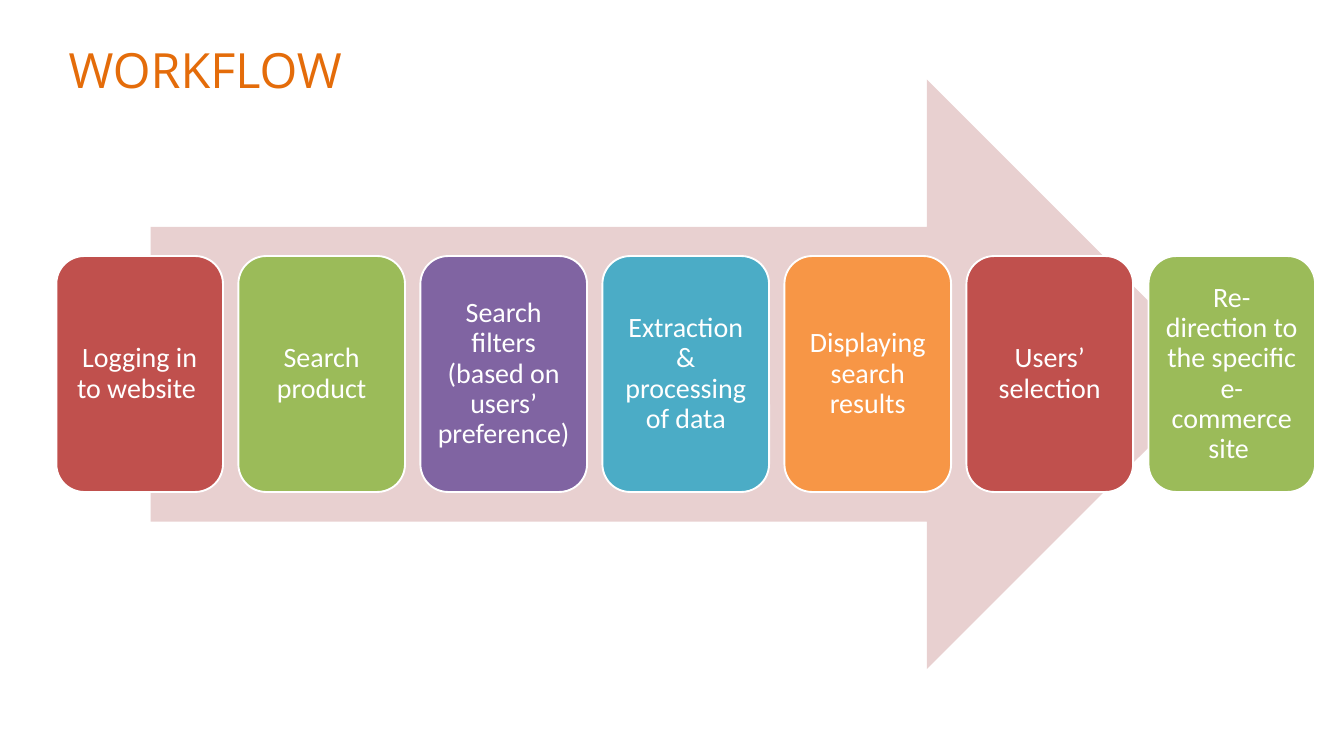
from pptx import Presentation
from pptx import util as u
from pptx.dml.color import RGBColor
from pptx.enum import shapes, text

STEPS = [
    ("Logging in to website ", "C0504D"),
    ("Search product", "9BBB59"),
    ("Search filters (based on users’ preference)", "8064A2"),
    ("Extraction & processing of data", "4BACC6"),
    ("Displaying search results", "F79646"),
    ("Users’ selection", "C0504D"),
    ("Re-direction to the specific e-commerce site ", "9BBB59"),
]
STEP_LEFT, STEP_TOP = 2.13, 9.68
STEP_WIDTH, STEP_HEIGHT = 6.3, 8.92
STEP_PITCH = 6.88


def color(value):
    return RGBColor.from_string(value)


def write(shape, words, *, size, font, ink, align, anchor,
          margins=(0.25, 0.13), line_spacing=1.0, space_after=0):
    """Fill a shape with one formatted paragraph; margins are (side, top) in cm."""
    frame = shape.text_frame
    frame.word_wrap = True
    frame.auto_size = text.MSO_AUTO_SIZE.NONE
    frame.vertical_anchor = anchor
    frame.margin_left = frame.margin_right = u.Cm(margins[0])
    frame.margin_top = frame.margin_bottom = u.Cm(margins[1])
    para = frame.paragraphs[0]
    para.alignment = align
    para.line_spacing = line_spacing
    para.space_before = u.Pt(0)
    para.space_after = u.Pt(space_after)
    span = para.add_run()
    span.text = words
    span.font.size = u.Pt(size)
    span.font.name = font
    span.font.color.rgb = color(ink)


def add_block(page, kind, left, top, width, height, fill, line=None):
    block = page.shapes.add_shape(kind, u.Cm(left), u.Cm(top), u.Cm(width), u.Cm(height))
    block.shadow.inherit = False
    block.fill.solid()
    block.fill.fore_color.rgb = color(fill)
    if line:
        block.line.color.rgb = color(line)
        block.line.width = u.Pt(2)
    else:
        block.line.fill.background()
    return block


def add_title(page, words):
    title = page.shapes.title
    title.left, title.top = u.Cm(2.34), u.Cm(1.37)
    title.width, title.height = u.Cm(13.34), u.Cm(2.49)
    write(title, words, size=52, font="Open Sans", ink="E46C0A",
          align=text.PP_ALIGN.LEFT, anchor=text.MSO_ANCHOR.TOP)


def add_step(page, index, words, fill):
    step = add_block(page, shapes.MSO_SHAPE.ROUNDED_RECTANGLE,
                     STEP_LEFT + index * STEP_PITCH, STEP_TOP,
                     STEP_WIDTH, STEP_HEIGHT, fill, line="FFFFFF")
    write(step, words, size=30, font="Calibri", ink="FFFFFF",
          align=text.PP_ALIGN.CENTER, anchor=text.MSO_ANCHOR.MIDDLE,
          margins=(0.3, 0.3), line_spacing=0.9)


def main():
    deck = Presentation()
    deck.slide_width, deck.slide_height = u.Cm(50.8), u.Cm(28.58)
    page = deck.slides.add_slide(deck.slide_layouts[5])

    add_title(page, "WORKFLOW")

    # Arrow behind the steps
    add_block(page, shapes.MSO_SHAPE.RIGHT_ARROW, 5.69, 3, 40.49, 22.3, "E8D0D0")

    # Steps from left to right
    for index, (words, fill) in enumerate(STEPS):
        add_step(page, index, words, fill)

    deck.save("out.pptx")


if __name__ == "__main__":
    main()
